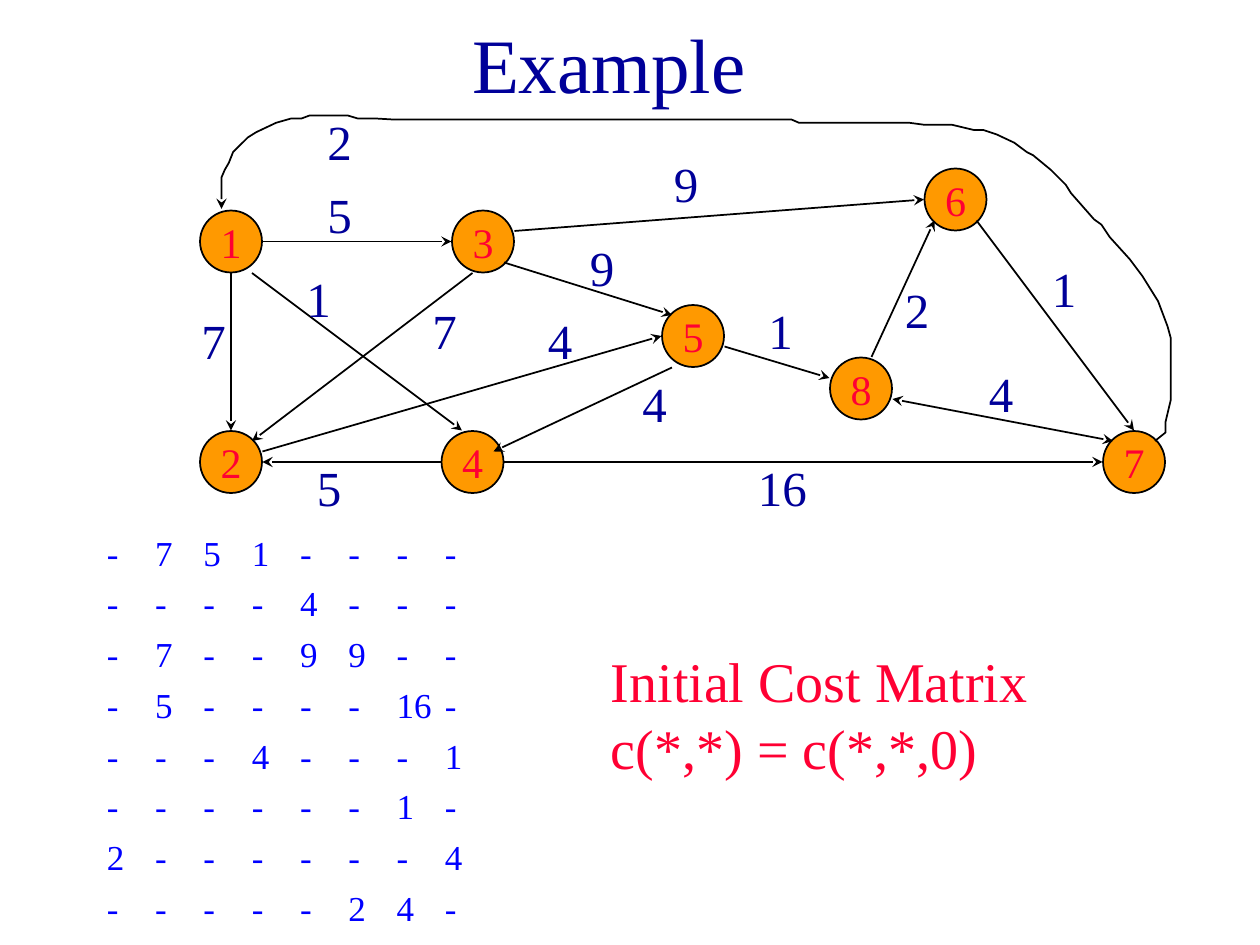
from lxml.etree import SubElement
from pptx import Presentation
from pptx.dml.color import RGBColor
from pptx.enum.shapes import MSO_CONNECTOR as Link, MSO_SHAPE as Preset
from pptx.enum.text import MSO_ANCHOR as Anchor, PP_ALIGN as Align
from pptx.oxml.ns import qn
from pptx.util import Inches, Pt

COLUMNS, ROWS = 120, 90  # grid cells across and down the slide
NODE_SIZE = 5.9
NAVY, BLUE, RED, ORANGE, BLACK = "000099", "0000FF", "FF0033", "FF9900", "000000"

# vertex: centre on the grid
VERTICES = {1: (22, 23), 2: (22, 44), 3: (46, 23), 4: (45, 44),
            5: (66, 32), 6: (91, 19), 7: (108, 44), 8: (82, 37)}

# start, end, cost, left and top of the cost label
EDGES = [
    ((22, 26), (22, 41), "7", (18, 29)),
    ((42, 44), (25, 44), "5", (29, 43)),
    ((25, 23), (43, 23), "5", (30, 17)),
    ((24, 26), (44, 41), "1", (28, 25)),
    ((45, 26), (24, 42), "7", (40, 28)),
    ((48, 25), (64, 30), "9", (55, 22)),
    ((25, 43), (63, 32), "4", (51, 29)),
    ((64, 35), (47, 43), "4", (60, 35)),
    ((48, 44), (105, 44), "16", (71, 43)),
    ((69, 33), (79, 36), "1", (72, 28)),
    ((49, 22), (88, 19), "9", (63, 14)),
    ((93, 21), (108, 41), "1", (99, 24)),
    ((83, 34), (89, 21), "2", (85, 26)),
]
TWO_WAY_EDGE = ((85, 38), (106, 42), "4", (93, 34))

# the long way back from vertex 7 to vertex 1
RETURN_ROUTE = [
    (110, 42), (111, 41.2), (111, 40.2), (111.5, 38.1), (111.5, 32.2),
    (111.2, 31.1), (110.3, 28.7), (108.8, 26.3), (107.6, 24.7), (105.7, 22.6),
    (104.9, 21.4), (104.2, 20.9), (102, 18.4), (101.5, 17.6), (100.1, 16.2),
    (98.4, 14.8), (97.8, 14.5), (96.6, 13.6), (94.9, 12.8), (93.7, 12.4),
    (92.8, 12.4), (90.7, 11.9), (88.1, 11.9), (86.6, 11.7), (76.1, 11.7),
    (75.4, 11.4), (37.6, 11.4), (35.9, 11.3), (34.1, 11.3), (33.1, 11),
    (29.5, 11), (28.7, 11.3), (27.7, 11.3), (26.3, 11.7), (24.4, 12.6),
    (23.6, 13.1), (22.2, 14.5), (21.8, 15.5), (21.4, 16.2), (21.1, 16.9),
    (21.1, 19.9),
]

COST_MATRIX = [
    "- 7 5 1 - - - -",
    "- - - - 4 - - -",
    "- 7 - - 9 9 - -",
    "- 5 - - - - 16 -",
    "- - - 4 - - - 1",
    "- - - - - - 1 -",
    "2 - - - - - - 4",
    "- - - - - 2 4 -",
]


def color(hex_code):
    return RGBColor.from_string(hex_code)


class GraphSlide:
    font_name = "Times New Roman"

    def __init__(self, deck):
        self.slide = deck.slides.add_slide(deck.slide_layouts[6])
        self.shapes = self.slide.shapes
        self.cell_width = deck.slide_width / COLUMNS
        self.cell_height = deck.slide_height / ROWS

    def place(self, column, row):
        """Turn grid columns and rows into slide lengths."""
        return round(column * self.cell_width), round(row * self.cell_height)

    def style(self, paragraph, size, hex_code, align=Align.LEFT):
        paragraph.alignment = align
        font = paragraph.font
        font.name, font.size = self.font_name, Pt(size)
        font.color.rgb = color(hex_code)

    def outline(self, shape, head=False, tail=True):
        """Draw a thin black line with a stealth arrowhead at the chosen ends."""
        shape.line.color.rgb = color(BLACK)
        shape.line.width = Pt(1)
        properties = shape._element.spPr.find(qn("a:ln"))
        for end, wanted in (("a:headEnd", head), ("a:tailEnd", tail)):
            if wanted:
                SubElement(properties, qn(end), type="stealth")

    def text(self, at, size, content, points, hex_code,
             align=Align.LEFT, anchor=Anchor.TOP, tabs=()):
        frame = self.shapes.add_textbox(*self.place(*at), *self.place(*size)).text_frame
        frame.word_wrap = True
        frame.vertical_anchor = anchor
        frame.text = content
        for paragraph in frame.paragraphs:
            if tabs:
                stops = SubElement(paragraph._p.get_or_add_pPr(), qn("a:tabLst"))
                for column in tabs:
                    position, _ = self.place(column, 0)
                    SubElement(stops, qn("a:tab"), pos=str(position), algn="l")
            self.style(paragraph, points, hex_code, align)
        return frame

    def vertex(self, number, center):
        corner = [middle - NODE_SIZE / 2 for middle in center]
        node = self.shapes.add_shape(
            Preset.OVAL, *self.place(*corner), *self.place(NODE_SIZE, NODE_SIZE))
        node.shadow.inherit = False
        node.fill.solid()
        node.fill.fore_color.rgb = color(ORANGE)
        self.outline(node, tail=False)
        frame = node.text_frame
        frame.margin_left = frame.margin_right = frame.margin_top = frame.margin_bottom = 0
        frame.word_wrap = False
        frame.vertical_anchor = Anchor.MIDDLE
        frame.text = str(number)
        self.style(frame.paragraphs[0], 24, RED, Align.CENTER)

    def cost(self, value, at):
        self.text(at, (5 * len(value), 6.8), value, 28, NAVY)

    def edge(self, start, end, value, label_at, two_way=False):
        arrow = self.shapes.add_connector(
            Link.STRAIGHT, *self.place(*start), *self.place(*end))
        self.outline(arrow, head=two_way)
        SubElement(arrow._element.spPr, qn("a:effectLst"))
        self.cost(value, label_at)

    def route(self, points, value, label_at):
        start, *bends = [self.place(*point) for point in points]
        builder = self.shapes.build_freeform(*start, scale=1.0)
        builder.add_line_segments(bends, close=False)
        path = builder.convert_to_shape()
        path.shadow.inherit = False
        path.fill.background()
        self.outline(path)
        self.cost(value, label_at)

    def matrix(self, at, size, rows, pitch):
        """Write the rows as paragraphs, with tab stops at equal pitch in columns."""
        entries = [row.split() for row in rows]
        content = "\n".join("\t".join(row) for row in entries)
        tabs = [pitch * index for index in range(1, len(entries[0]))]
        frame = self.text(at, size, content, 20, BLUE, tabs=tabs)
        for paragraph in frame.paragraphs[1:]:
            paragraph.space_before = Pt(5)


def main():
    deck = Presentation()
    deck.slide_width, deck.slide_height = Inches(10), Inches(7.5)
    graph = GraphSlide(deck)
    graph.text((7, 0), (102, 12), "Example", 44, NAVY, Align.CENTER, Anchor.MIDDLE)
    graph.matrix((9, 50), (102, 39), COST_MATRIX, pitch=4.6)
    for number, center in VERTICES.items():
        graph.vertex(number, center)
    for edge in EDGES:
        graph.edge(*edge)
    graph.edge(*TWO_WAY_EDGE, two_way=True)
    graph.route(RETURN_ROUTE, "2", (30, 10))
    graph.text((57, 61), (45, 14), "Initial Cost Matrix c(*,*) = c(*,*,0)", 32, RED)
    deck.save("out.pptx")


if __name__ == "__main__":
    main()
